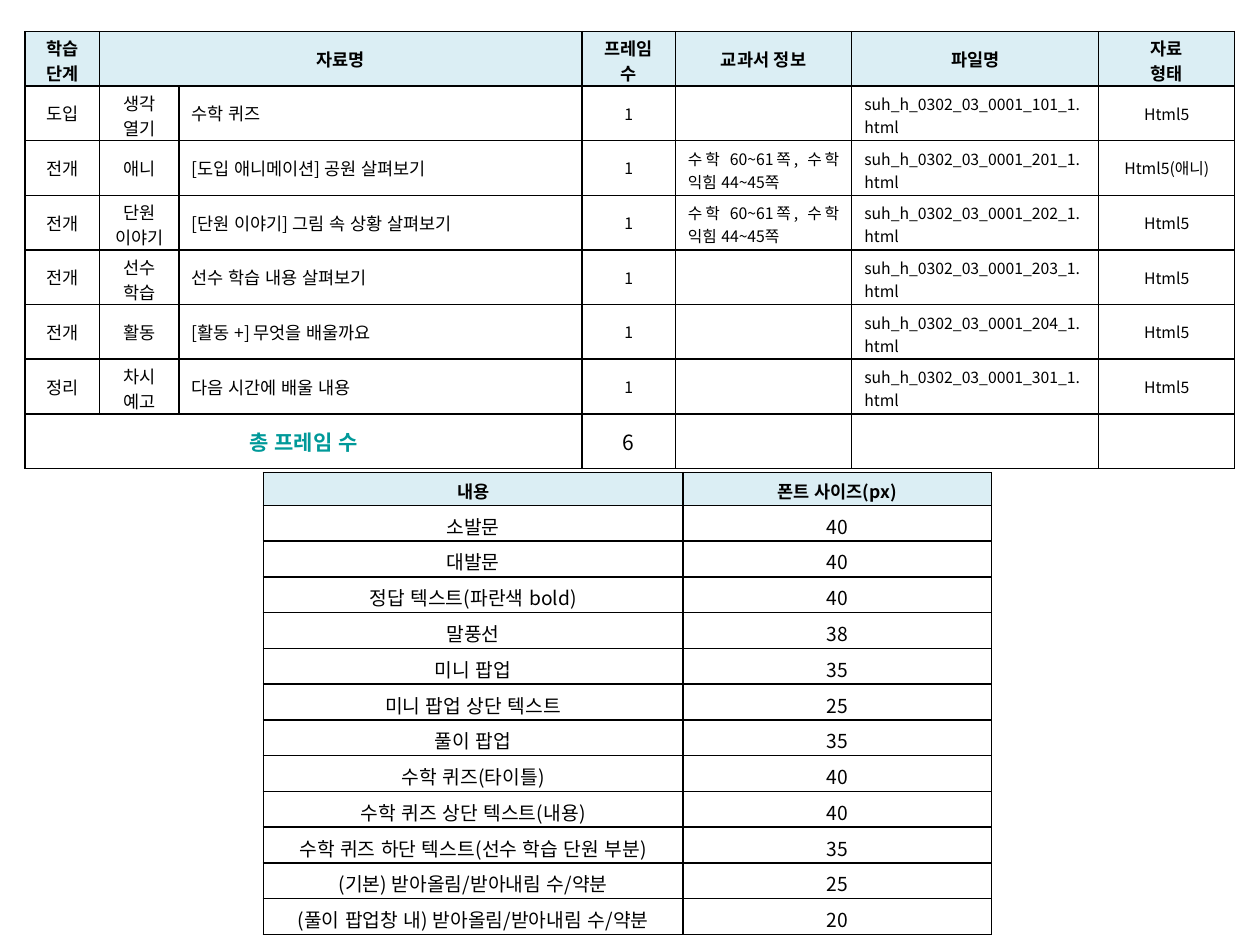
"""Build a lesson frame list and a font size guide as two tables."""
import pptx
import pptx.dml.color
import pptx.enum.lang
import pptx.enum.text
import pptx.oxml
import pptx.oxml.ns
import pptx.util
from dataclasses import dataclass
from pptx.util import Inches


@dataclass(frozen=True)
class Theme:
    font: str = "Noto Sans CJK KR"
    ink: str = "000000"
    accent: str = "009999"
    header_fill: str = "DBEEF4"
    body_fill: str = "FFFFFF"
    small: int = 9
    regular: int = 10
    medium: int = 11
    large: int = 12
    border: int = 1


theme = Theme()
left = pptx.enum.text.PP_ALIGN.LEFT
center = pptx.enum.text.PP_ALIGN.CENTER
justify = pptx.enum.text.PP_ALIGN.JUSTIFY
single_line = (0.05, 0.05)
two_small_lines = (0.05, 0.02)
two_regular_lines = (0.03, 0)
guide_line = (0.05, 0.01)


def add_grid(slide, frame, column_widths, row_heights):
    shape = slide.shapes.add_table(
        len(row_heights), len(column_widths), *[Inches(length) for length in frame])
    table = shape.table
    table.first_row = False
    table.horz_banding = False
    for column, width in zip(table.columns, column_widths):
        column.width = Inches(width)
    for row, height in zip(table.rows, row_heights):
        row.height = Inches(height)
    return table


def fill_cell(cell, text, size, fill, alignment=center, bold=False, color=theme.ink,
              margins=single_line):
    cell.vertical_anchor = pptx.enum.text.MSO_ANCHOR.MIDDLE
    cell.margin_left = cell.margin_right = Inches(0.1)
    cell.margin_top, cell.margin_bottom = [Inches(margin) for margin in margins]
    properties = cell._tc.get_or_add_tcPr()
    for side in ("lnL", "lnR", "lnT", "lnB"):
        properties.append(pptx.oxml.parse_xml(
            f'<a:{side} {pptx.oxml.ns.nsdecls("a")} w="{pptx.util.Pt(theme.border)}">'
            f'<a:solidFill><a:srgbClr val="{theme.ink}"/></a:solidFill></a:{side}>'))
    cell.fill.solid()
    cell.fill.fore_color.rgb = pptx.dml.color.RGBColor.from_string(fill)
    cell.text_frame.text = text
    for paragraph in cell.text_frame.paragraphs:
        paragraph.alignment = alignment
        for run in paragraph.runs:
            run.font.name = theme.font
            run.font.size = pptx.util.Pt(size)
            run.font.bold = bold
            run.font.language_id = pptx.enum.lang.MSO_LANGUAGE_ID.KOREAN
            run.font.color.rgb = pptx.dml.color.RGBColor.from_string(color)
            run.font._element.set("kern", "0")
            run.font._element.append(pptx.oxml.parse_xml(
                f'<a:ea {pptx.oxml.ns.nsdecls("a")} typeface="{theme.font}"/>'))
        if not paragraph.runs:
            paragraph._p.append(pptx.oxml.parse_xml(
                f'<a:endParaRPr {pptx.oxml.ns.nsdecls("a")} sz="{size * 100}"/>'))


presentation = pptx.Presentation()
presentation.slide_width = Inches(10)
presentation.slide_height = Inches(7.5)
slide = presentation.slides.add_slide(presentation.slide_layouts[6])

frame_headers = ["학습 단계", "자료명", "", "프레임 수", "교과서 정보", "파일명", "자료\n형태"]
two_line_labels = {"학습 단계", "프레임 수", "자료\n형태", "생각\n열기", "단원\n이야기",
                   "선수\v학습", "차시 예고"}
textbook = "수학 60~61쪽, 수학 익힘 44~45쪽"
lessons = [
    ("도입", "생각\n열기", "수학 퀴즈", "", "101", "Html5"),
    ("전개", "애니", "[도입 애니메이션] 공원 살펴보기", textbook, "201", "Html5(애니)"),
    ("전개", "단원\n이야기", "[단원 이야기] 그림 속 상황 살펴보기", textbook, "202", "Html5"),
    ("전개", "선수\v학습", "선수 학습 내용 살펴보기", "", "203", "Html5"),
    ("전개", "활동", "[활동 +] 무엇을 배울까요", "", "204", "Html5"),
    ("정리", "차시 예고", "다음 시간에 배울 내용", "", "301", "Html5"),
]
lesson_styles = [
    (theme.regular, center), (theme.regular, center), (theme.regular, left),
    (theme.small, center), (theme.small, justify), (theme.small, justify), (theme.small, center),
]
total_row = len(lessons) + 1
row_count = total_row + 1
frame_table = add_grid(
    slide, (0.2, 0.25, 9.6, 3.47),
    [0.59, 0.63, 3.2, 0.74, 1.4, 1.96, 1.08], [3.47 / row_count] * row_count)
frame_table.cell(0, 1).merge(frame_table.cell(0, 2))
frame_table.cell(total_row, 0).merge(frame_table.cell(total_row, 2))

for column, header in enumerate(frame_headers):
    fill_cell(frame_table.cell(0, column), header, theme.regular, theme.header_fill, bold=True,
              margins=two_regular_lines if header in two_line_labels else single_line)
for row, (stage, activity, title, pages, code, kind) in enumerate(lessons, 1):
    texts = [stage, activity, title, "1", pages, f"suh_h_0302_03_0001_{code}_1.html", kind]
    for column, (text, (size, alignment)) in enumerate(zip(texts, lesson_styles)):
        margins = two_regular_lines if text in two_line_labels else single_line
        if alignment == justify:
            margins = two_small_lines
        fill_cell(frame_table.cell(row, column), text, size, theme.body_fill, alignment,
                  margins=margins)
for column, text in enumerate(["총 프레임 수", "", "", str(len(lessons)), "", "", ""]):
    is_label = column == 0
    fill_cell(frame_table.cell(total_row, column), text, theme.large, theme.body_fill,
              bold=is_label, color=theme.accent if is_label else theme.ink)

font_sizes = [
    ("내용", "폰트 사이즈(px)"),
    ("소발문", "40"),
    ("대발문", "40"),
    ("정답 텍스트(파란색 bold)", "40"),
    ("말풍선", "38"),
    ("미니 팝업", "35"),
    ("미니 팝업 상단 텍스트", "25"),
    ("풀이 팝업", "35"),
    ("수학 퀴즈(타이틀)", "40"),
    ("수학 퀴즈 상단 텍스트(내용)", "40"),
    ("수학 퀴즈 하단 텍스트(선수 학습 단원 부분)", "35"),
    ("(기본) 받아올림/받아내림 수/약분", "25"),
    ("(풀이 팝업창 내) 받아올림/받아내림 수/약분", "20"),
]
header_height = 0.26
body_count = len(font_sizes) - 1
size_table = add_grid(
    slide, (2.09, 3.75, 5.79, 3.67), [3.33, 2.45],
    [header_height] + [(3.67 - header_height) / body_count] * body_count)
for row, texts in enumerate(font_sizes):
    is_header = row == 0
    for column, text in enumerate(texts):
        fill_cell(size_table.cell(row, column), text,
                  theme.regular if is_header else theme.medium,
                  theme.header_fill if is_header else theme.body_fill,
                  bold=is_header, margins=guide_line)

presentation.save("out.pptx")
